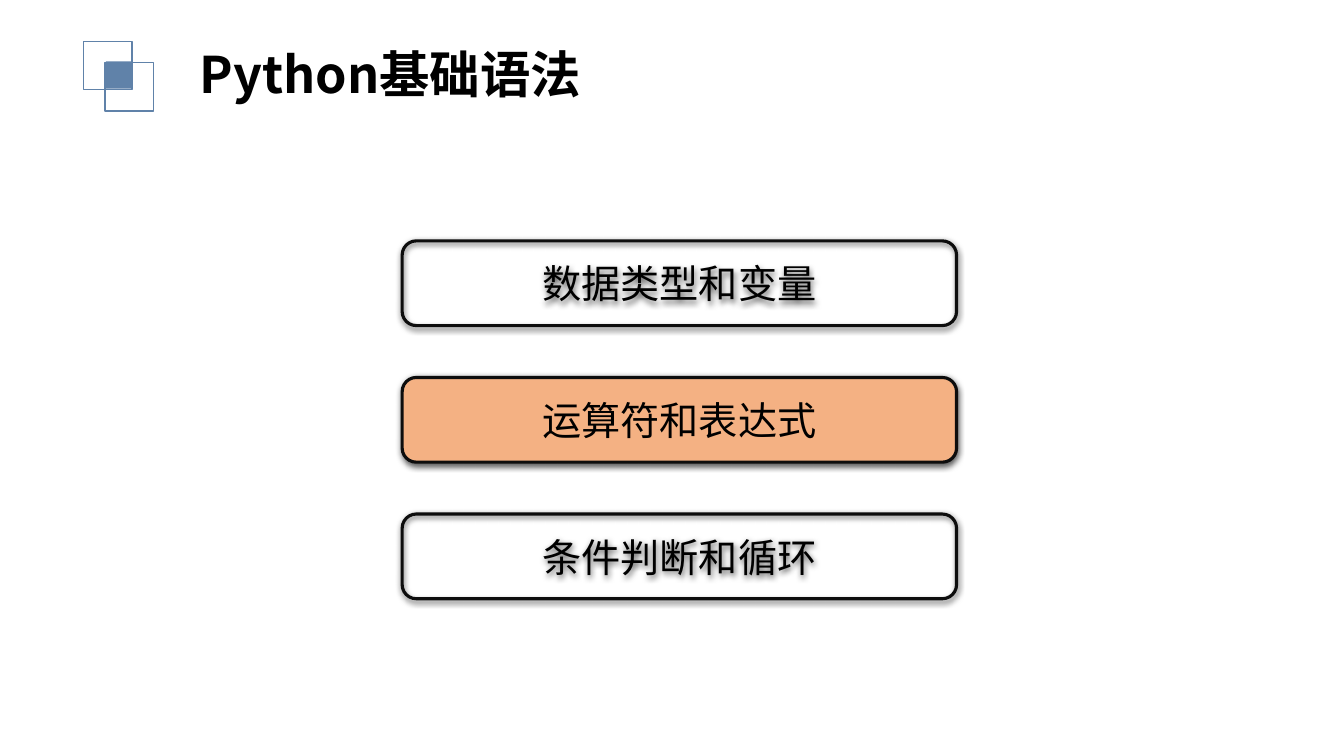
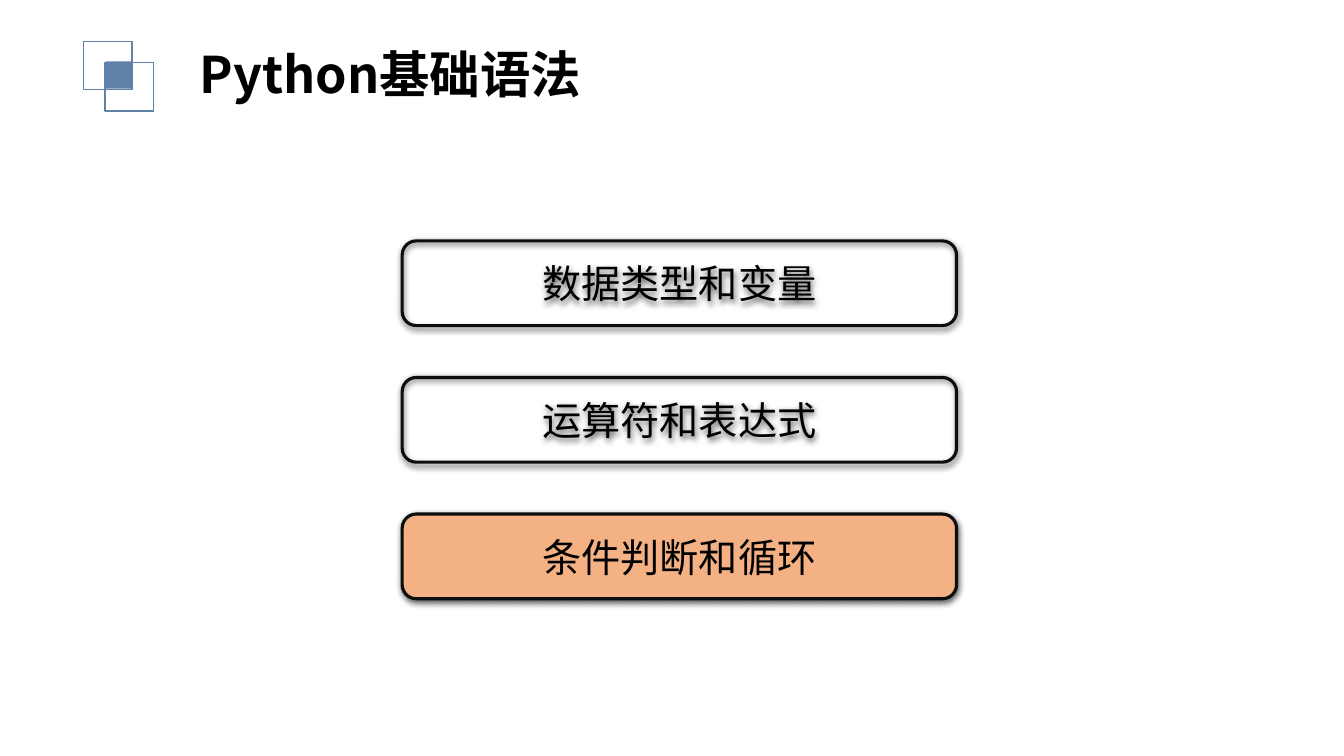
from lxml import etree
from pptx import Presentation
from pptx.dml.color import RGBColor
from pptx.enum.shapes import MSO_SHAPE
from pptx.enum.text import MSO_ANCHOR, PP_ALIGN
from pptx.oxml.ns import qn
from pptx.util import Pt

RECTANGLE = MSO_SHAPE.RECTANGLE
ROUNDED = MSO_SHAPE.ROUNDED_RECTANGLE
MIDDLE = MSO_ANCHOR.MIDDLE
LEFT = PP_ALIGN.LEFT
CENTER = PP_ALIGN.CENTER

FONT = "Noto Sans CJK SC"
BLACK = "000000"
BLUE = "6082A9"
OUTLINE = "0D0D0D"
HIGHLIGHT = "F4B183"

TITLE = "Python基础语法"
TOPICS = ["数据类型和变量", "运算符和表达式", "条件判断和循环"]
CURRENT_TOPICS = [1, 2]

EMBLEM_BOX = (59.8, 29.5, 49.7, 49.7)
TITLE_BOX = (135.4, 26.6, 296.6, 51.1)
MENU_BOX = (287.3, 172.1, 396, 255.6)
TOPIC_HEIGHT = 60.5
TITLE_ONLY = 5


def paint(color_format, color):
    """Set a colour format to a hex colour."""
    color_format.rgb = RGBColor.from_string(color)


def place(shape, box):
    """Move and size a shape to a box in points."""
    shape.left, shape.top, shape.width, shape.height = map(Pt, box)


def add_shape(page, kind, box, fill=None, line=None, weight=1):
    """Add a shadowless shape with an optional fill and outline."""
    shape = page.shapes.add_shape(kind, *map(Pt, box))
    shape.shadow.inherit = False
    if fill:
        shape.fill.solid()
        paint(shape.fill.fore_color, fill)
    else:
        shape.fill.background()
    if line:
        paint(shape.line.color, line)
        shape.line.width = Pt(weight)
    else:
        shape.line.fill.background()
    return shape


def add_shadow(shape):
    """Give a shape a soft black shadow straight below it."""
    effects = shape.element.spPr.find(qn("a:effectLst"))
    shadow = etree.SubElement(
        effects, qn("a:outerShdw"), blurRad=str(Pt(4.5)), dist=str(Pt(1.5)),
        dir="5400000", algn="t", rotWithShape="0")
    color = etree.SubElement(shadow, qn("a:srgbClr"), val=BLACK)
    etree.SubElement(color, qn("a:alpha"), val="63000")


def write(shape, text, size, align, bold=False):
    """Write one line of black text into a shape."""
    frame = shape.text_frame
    frame.text = text
    frame.vertical_anchor = MIDDLE
    frame.word_wrap = True
    para = frame.paragraphs[0]
    para.alignment = align
    for span in para.runs:
        font = span.font
        font.size, font.bold, font.name = Pt(size), bold, FONT
        paint(font.color, BLACK)
        latin = font._element.find(qn("a:latin"))
        latin.addnext(latin.makeelement(qn("a:ea"), typeface=FONT))


def move_to_layout(shape, layout):
    """Move a shape from its page to the layout that pages share."""
    shape_id = max(item.shape_id for item in layout.shapes) + 1
    shape.element.nvSpPr.cNvPr.set("id", str(shape_id))
    layout.shapes.element.append(shape.element)


def build_emblem(page, layout, box):
    """Put two overlapping squares and their filled overlap on the layout."""
    left, top, width, height = box
    side, shift = 34.6, 15.1
    squares = [
        add_shape(page, RECTANGLE, (left + step, top + step, side, side), line=BLUE)
        for step in (0, shift)
    ]
    overlap = (left + 15.8, top + 14.4, 18, 19.4)
    squares.append(add_shape(page, RECTANGLE, overlap, fill=BLUE))
    for square in squares:
        move_to_layout(square, layout)


def build_menu(page, box, current):
    """Stack the topics evenly in a box and highlight the current one."""
    left, top, width, height = box
    step = (height - TOPIC_HEIGHT) / (len(TOPICS) - 1)
    for index, topic in enumerate(TOPICS):
        fill = HIGHLIGHT if index == current else None
        topic_box = (left, top + index * step, width, TOPIC_HEIGHT)
        button = add_shape(page, ROUNDED, topic_box, fill, OUTLINE, 2.25)
        add_shadow(button)
        write(button, topic, 28, CENTER)


def build_page(deck, layout, current):
    """Add a page with the title and the topic menu."""
    page = deck.slides.add_slide(layout)
    title = page.shapes.title
    place(title, TITLE_BOX)
    write(title, TITLE, 36, LEFT, bold=True)
    build_menu(page, MENU_BOX, current)
    return page


def main():
    """Build and save the deck."""
    deck = Presentation()
    deck.slide_width, deck.slide_height = Pt(960), Pt(540)
    layout = deck.slide_layouts[TITLE_ONLY]
    pages = [build_page(deck, layout, current) for current in CURRENT_TOPICS]
    build_emblem(pages[0], layout, EMBLEM_BOX)
    deck.save("out.pptx")


if __name__ == "__main__":
    main()
